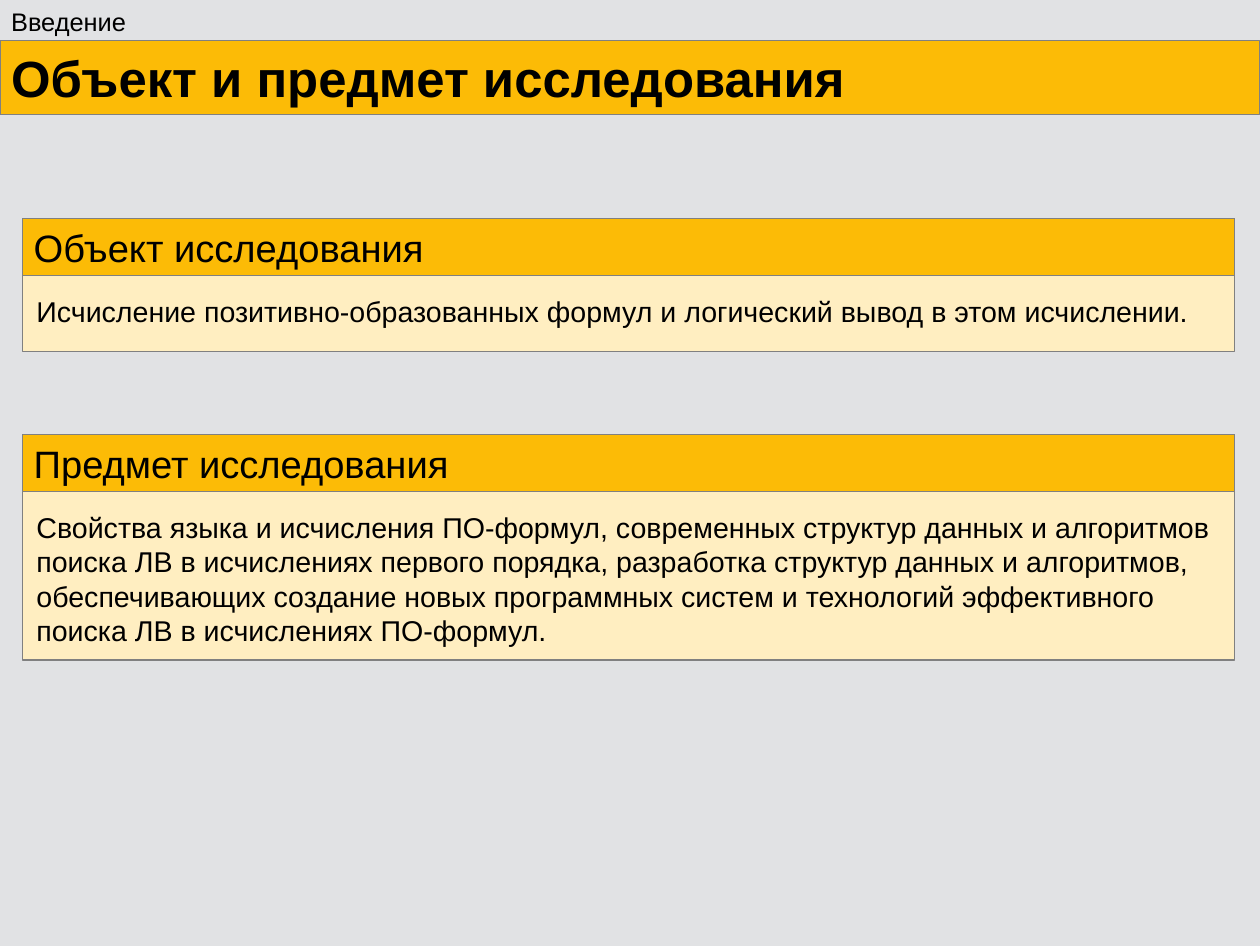
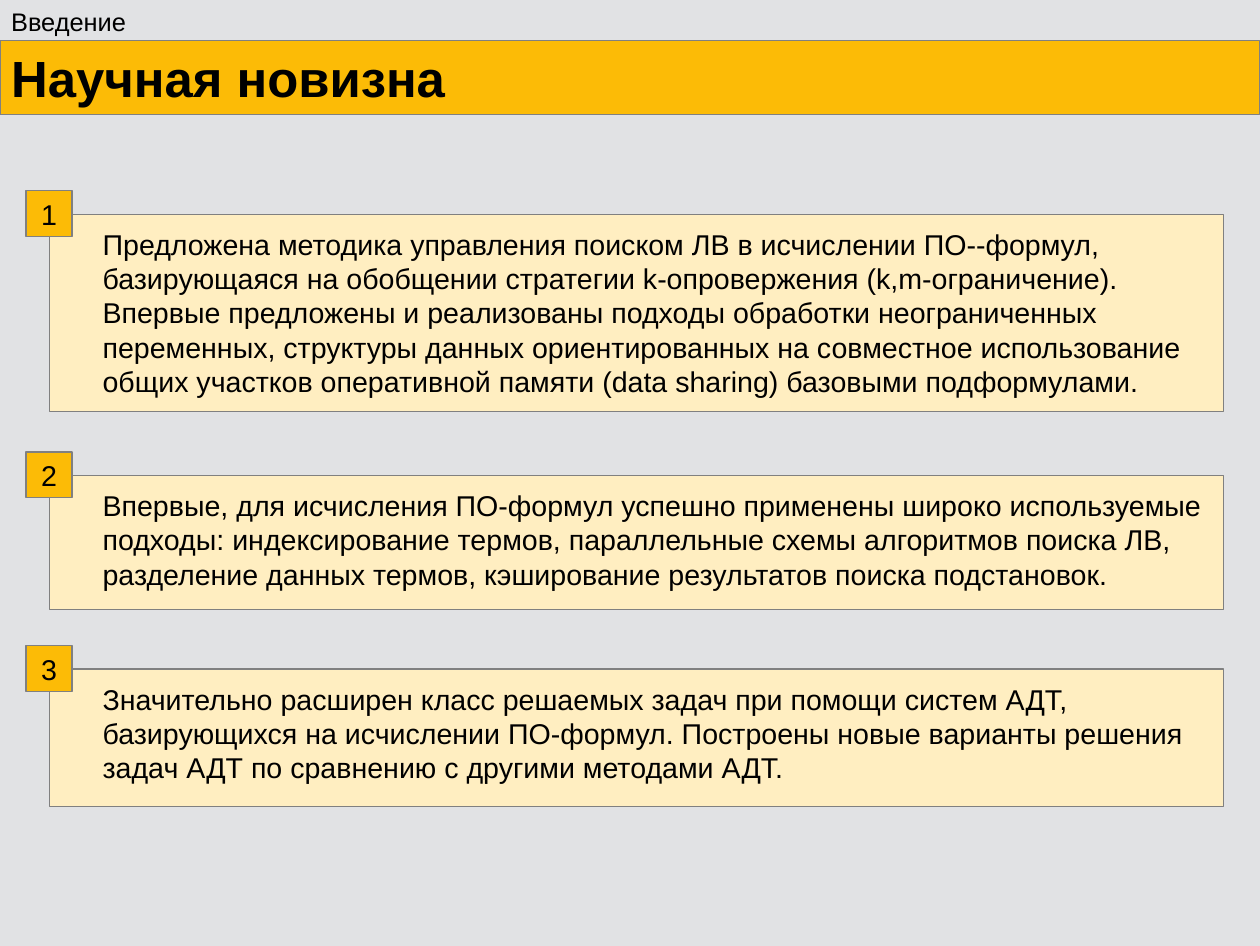
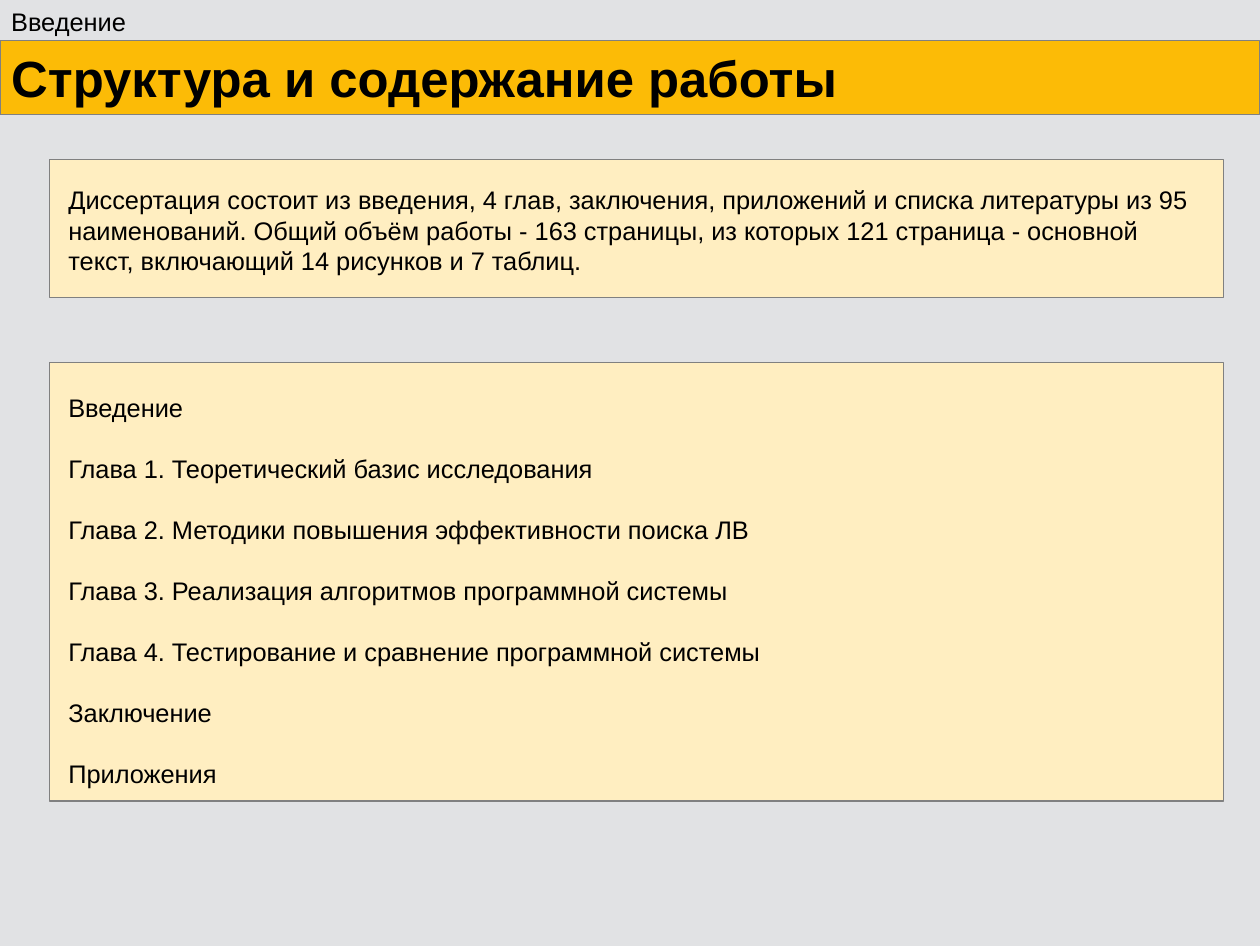
from pptx import Presentation
from pptx.dml.color import RGBColor
from pptx.enum.shapes import MSO_SHAPE as Shape
from pptx.enum.text import MSO_ANCHOR as Anchor, MSO_AUTO_SIZE as AutoSize, PP_ALIGN as Align
from pptx.util import Cm, Pt

GREY = RGBColor(0xE1, 0xE2, 0xE4)
AMBER = RGBColor(0xFC, 0xBB, 0x06)
CREAM = RGBColor(0xFF, 0xEE, 0xC1)
OUTLINE = RGBColor(0x80, 0x80, 0x80)
BLACK = RGBColor(0, 0, 0)
FONT = "Arial"

SLIDE_WIDTH, SLIDE_HEIGHT = 27.99, 21.01
SECTION = "Введение"
PANEL_LEFT, PANEL_WIDTH = 1.1, 26.09
BADGE_SIZE, BADGE_OFFSET = 1.02, 0.52
HEADED_LEFT, HEADED_WIDTH, HEADER_HEIGHT = 0.5, 26.93, 1.27

SUBJECT_TITLE = "Объект и предмет исследования"
SUBJECTS = [
    (4.85, 2.96, "Объект исследования",
     "Исчисление позитивно-образованных формул и логический вывод в этом исчислении."),
    (9.65, 5.01, "Предмет исследования",
     "Свойства языка и исчисления ПО-формул, современных структур данных и алгоритмов "
     "поиска ЛВ в исчислениях первого порядка, разработка структур данных и алгоритмов, "
     "обеспечивающих создание новых программных систем и технологий эффективного "
     "поиска ЛВ в исчислениях ПО-формул."),
]

NOVELTY_TITLE = "Научная новизна"
NOVELTIES = [
    (4.76, 4.39, [
        "Предложена методика управления поиском ЛВ в исчислении ПО--формул,",
        "базирующаяся на обобщении стратегии k-опровержения (k,m-ограничение).",
        "Впервые предложены и реализованы подходы обработки неограниченных",
        "переменных, структуры данных ориентированных на совместное использование",
        "общих участков оперативной памяти (data sharing) базовыми подформулами.",
    ]),
    (10.56, 2.97, [
        "Впервые, для исчисления ПО-формул успешно применены широко используемые",
        "подходы: индексирование термов, параллельные схемы алгоритмов поиска ЛВ,",
        "разделение данных термов, кэширование результатов поиска подстановок.",
    ]),
    (14.86, 3.06, [
        "Значительно расширен класс решаемых задач при помощи систем АДТ,",
        "базирующихся на исчислении ПО-формул. Построены новые варианты решения",
        "задач АДТ по сравнению с другими методами АДТ.",
    ]),
]

STRUCTURE_TITLE = "Структура и содержание работы"
STRUCTURE = [
    (3.55, 3.06, 0.42, [
        "Диссертация состоит из введения, 4 глав, заключения, приложений и списка "
        "литературы из 95 наименований. Общий объём работы - 163 страницы, из которых "
        "121 страница - основной текст, включающий 14 рисунков и 7 таблиц.",
    ]),
    (8.05, 9.74, 0.54, [
        "Введение",
        "Глава 1. Теоретический базис исследования",
        "Глава 2. Методики повышения эффективности поиска ЛВ",
        "Глава 3. Реализация алгоритмов программной системы",
        "Глава 4. Тестирование и сравнение программной системы",
        "Заключение",
        "Приложения",
    ]),
]


def write(frame, lines, size, bold=False, align=Align.LEFT, gap=0):
    frame.word_wrap = True
    for index, line in enumerate(lines):
        para = frame.paragraphs[0] if index == 0 else frame.add_paragraph()
        para.text = line
        para.alignment = align
        if index and gap:
            para.space_before = Pt(gap)
        para.font.name = FONT
        para.font.size = Pt(size)
        para.font.bold = bold
        para.font.color.rgb = BLACK


def add_panel(page, left, top, width, height, color):
    panel = page.shapes.add_shape(
        Shape.RECTANGLE, Cm(left), Cm(top), Cm(width), Cm(height))
    panel.shadow.inherit = False
    panel.fill.solid()
    panel.fill.fore_color.rgb = color
    panel.line.color.rgb = OUTLINE
    panel.line.width = Pt(0)
    panel.text_frame.vertical_anchor = Anchor.MIDDLE
    return panel


def add_text(page, left, top, width, lines, size, gap=0):
    height = Pt(size * 1.15 * len(lines)) + Cm(0.25)
    box = page.shapes.add_textbox(Cm(left), Cm(top), Cm(width), height)
    write(box.text_frame, lines, size, gap=gap)
    box.text_frame.auto_size = AutoSize.SHAPE_TO_FIT_TEXT


def add_page(deck, title):
    page = deck.slides.add_slide(deck.slide_layouts[6])
    band = add_panel(page, 0, 0.9, SLIDE_WIDTH, 1.65, AMBER)
    write(band.text_frame, [title], 32, bold=True)
    add_text(page, 0, 0.02, 3.05, [SECTION], 16)
    return page


def build_subjects(deck):
    page = add_page(deck, SUBJECT_TITLE)
    for top, height, heading, body in SUBJECTS:
        add_panel(page, HEADED_LEFT, top, HEADED_WIDTH, height, CREAM)
        header = add_panel(page, HEADED_LEFT, top, HEADED_WIDTH, HEADER_HEIGHT, AMBER)
        write(header.text_frame, [heading], 24)
        add_text(page, 0.56, top + 1.55, 26.62, [body], 18)


def build_novelties(deck):
    page = add_page(deck, NOVELTY_TITLE)
    for number, (top, height, lines) in enumerate(NOVELTIES, 1):
        add_panel(page, PANEL_LEFT, top, PANEL_WIDTH, height, CREAM)
        add_text(page, 2.03, top + 0.15, 25.15, lines, 18)
        badge = add_panel(page, PANEL_LEFT - BADGE_OFFSET, top - BADGE_OFFSET,
                          BADGE_SIZE, BADGE_SIZE, AMBER)
        write(badge.text_frame, [str(number)], 18, align=Align.CENTER)


def build_structure(deck):
    page = add_page(deck, STRUCTURE_TITLE)
    for top, height, inset, lines in STRUCTURE:
        add_panel(page, PANEL_LEFT, top, PANEL_WIDTH, height, CREAM)
        add_text(page, 1.27, top + inset, 25.65, lines, 16, gap=19.2)


def main():
    deck = Presentation()
    deck.slide_width, deck.slide_height = Cm(SLIDE_WIDTH), Cm(SLIDE_HEIGHT)
    backdrop = deck.slide_master.background.fill
    backdrop.solid()
    backdrop.fore_color.rgb = GREY
    build_subjects(deck)
    build_novelties(deck)
    build_structure(deck)
    deck.save("out.pptx")


if __name__ == "__main__":
    main()
